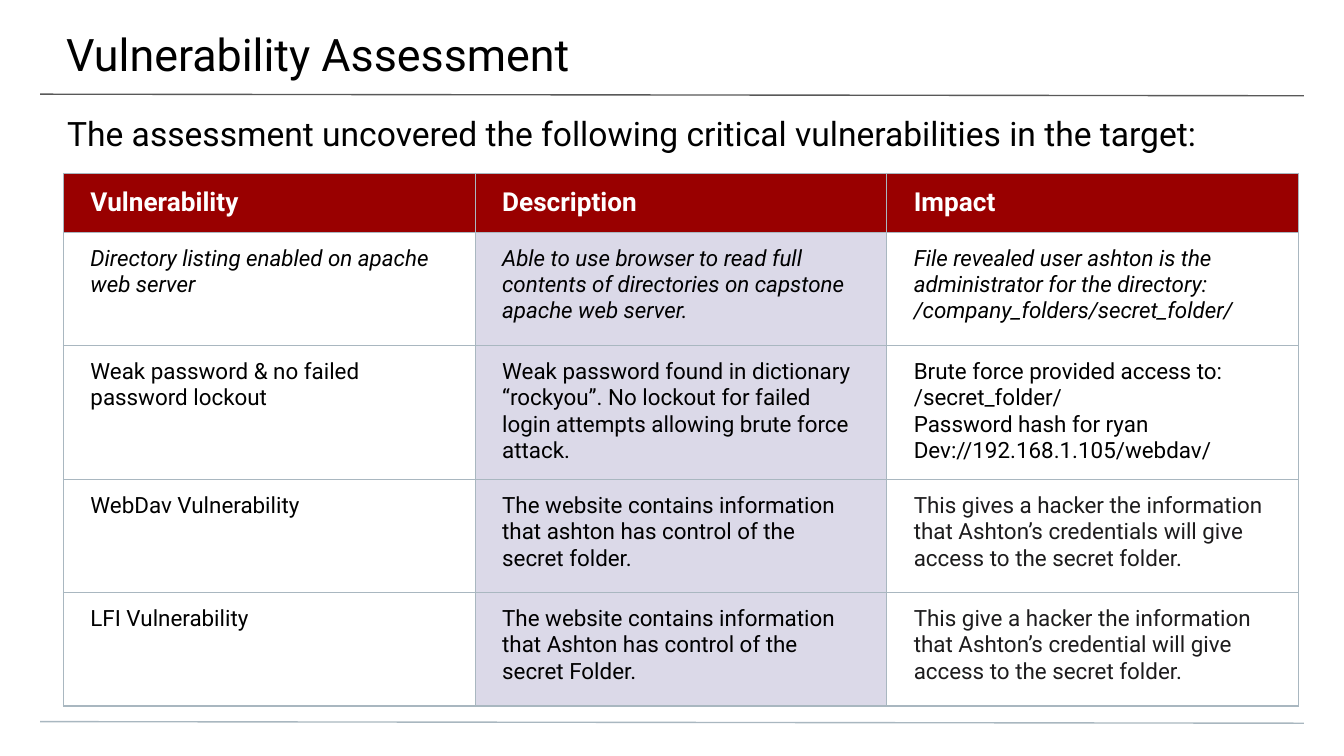
from dataclasses import dataclass

import pptx
import pptx.dml.color
import pptx.enum.shapes
import pptx.enum.text
import pptx.oxml
import pptx.oxml.ns
import pptx.util
from pptx.util import Cm


@dataclass(frozen=True)
class Theme:
    font: str = "Roboto"
    black: str = "000000"
    soft_black: str = "1D1C1D"
    white: str = "FFFFFF"
    header: str = "990000"
    highlight: str = "DBD9E8"
    rule: str = "595959"
    border: str = "A9B7C0"
    title_size: int = 24
    subtitle_size: int = 18
    header_size: int = 14
    body_size: int = 12
    line_width: float = 0.75


THEME = Theme()

HEADINGS = ["Vulnerability", "Description", "Impact"]
FINDINGS = [
    [
        "Directory listing enabled on apache web server",
        "Able to use browser to read full contents of directories on capstone apache web server.",
        "File revealed user ashton is the administrator for the directory:\n"
        "/company_folders/secret_folder/",
    ],
    [
        "Weak password & no failed password lockout",
        "Weak password found in dictionary “rockyou”. No lockout for failed login attempts "
        "allowing brute force attack.",
        "Brute force provided access to:\n/secret_folder/\nPassword hash for ryan\n"
        "Dev://192.168.1.105/webdav/",
    ],
    [
        "WebDav Vulnerability",
        "The website contains information that ashton has control of the secret folder.",
        "This gives a hacker the information that Ashton’s credentials will give access "
        "to the secret folder.",
    ],
    [
        "LFI Vulnerability",
        "The website contains information that Ashton has control of the secret Folder.",
        "This give a hacker the information that Ashton’s credential will give access "
        "to the secret folder.",
    ],
]


def rgb(color):
    return pptx.dml.color.RGBColor.from_string(color)


def set_margins(target, left, top, right, bottom):
    target.margin_left, target.margin_top = Cm(left), Cm(top)
    target.margin_right, target.margin_bottom = Cm(right), Cm(bottom)


def write_text(text_frame, text, size, color, bold=False, italic=False):
    for index, line in enumerate(text.split("\n")):
        paragraph = text_frame.add_paragraph() if index else text_frame.paragraphs[0]
        run = paragraph.add_run()
        run.text = line
        run.font.name = THEME.font
        run.font.size = pptx.util.Pt(size)
        run.font.color.rgb = rgb(color)
        run.font.bold = bold
        run.font.italic = italic


def add_text(slide, text, top, height, margins, size):
    shape = slide.shapes.add_textbox(Cm(0), Cm(top), Cm(25.4), Cm(height))
    text_frame = shape.text_frame
    text_frame.word_wrap = True
    set_margins(text_frame, *margins)
    write_text(text_frame, text, size, THEME.black)


def add_rule(slide, top, color):
    connector = slide.shapes.add_connector(
        pptx.enum.shapes.MSO_CONNECTOR.STRAIGHT, Cm(0.76), Cm(top), Cm(24.64), Cm(top + 0.03)
    )
    connector.line.color.rgb = rgb(color)
    connector.line.width = pptx.util.Pt(THEME.line_width)
    properties = connector._element.spPr
    properties.append(properties.makeelement(pptx.oxml.ns.qn("a:effectLst"), {}))


def set_borders(cell):
    properties = cell._tc.get_or_add_tcPr()
    for position, side in enumerate(("lnL", "lnR", "lnT", "lnB")):
        border = pptx.oxml.parse_xml(
            f'<a:{side} {pptx.oxml.ns.nsdecls("a")} w="{pptx.util.Pt(THEME.line_width)}">'
            f'<a:solidFill><a:srgbClr val="{THEME.border}"/></a:solidFill></a:{side}>'
        )
        properties.insert(position, border)


def style_cell(cell, fill=None):
    set_margins(cell, 0.51, 0.25, 0.51, 0.25)
    if fill:
        cell.fill.solid()
        cell.fill.fore_color.rgb = rgb(fill)
    else:
        cell.fill.background()
    set_borders(cell)


def add_findings_table(slide):
    heights = [1.11, 2.14, 2.48, 2.14, 2.14]
    table = slide.shapes.add_table(
        len(heights), len(HEADINGS), Cm(1.2), Cm(3.28), Cm(23.34), Cm(sum(heights))
    ).table
    table.first_row = False
    table.horz_banding = False
    for column in table.columns:
        column.width = Cm(7.78)
    for row, height in zip(table.rows, heights):
        row.height = Cm(height)

    for column, heading in enumerate(HEADINGS):
        cell = table.cell(0, column)
        style_cell(cell, THEME.header)
        cell.vertical_anchor = pptx.enum.text.MSO_ANCHOR.MIDDLE
        write_text(cell.text_frame, heading, THEME.header_size, THEME.white, bold=True)

    for row, finding in enumerate(FINDINGS, start=1):
        for column, text in enumerate(finding):
            cell = table.cell(row, column)
            style_cell(cell, THEME.highlight if column == 1 else None)
            color = THEME.soft_black if column == 2 and row > 2 else THEME.black
            write_text(cell.text_frame, text, THEME.body_size, color, italic=row == 1)


def main():
    """Build the vulnerability assessment slide and save it."""
    presentation = pptx.Presentation()
    presentation.slide_width = Cm(25.4)
    presentation.slide_height = Cm(14.29)
    slide = presentation.slides.add_slide(presentation.slide_layouts[6])
    add_rule(slide, 1.78, THEME.rule)
    add_rule(slide, 13.64, THEME.border)
    add_text(slide, "Vulnerability Assessment", 0, 1.47, (1.25, 0.51, 0.76, 0.25), THEME.title_size)
    add_text(
        slide,
        "The assessment uncovered the following critical vulnerabilities in the target:",
        1.88, 1.02, (1.27, 0.25, 1.27, 0), THEME.subtitle_size,
    )
    add_findings_table(slide)
    presentation.save("out.pptx")


if __name__ == "__main__":
    main()
